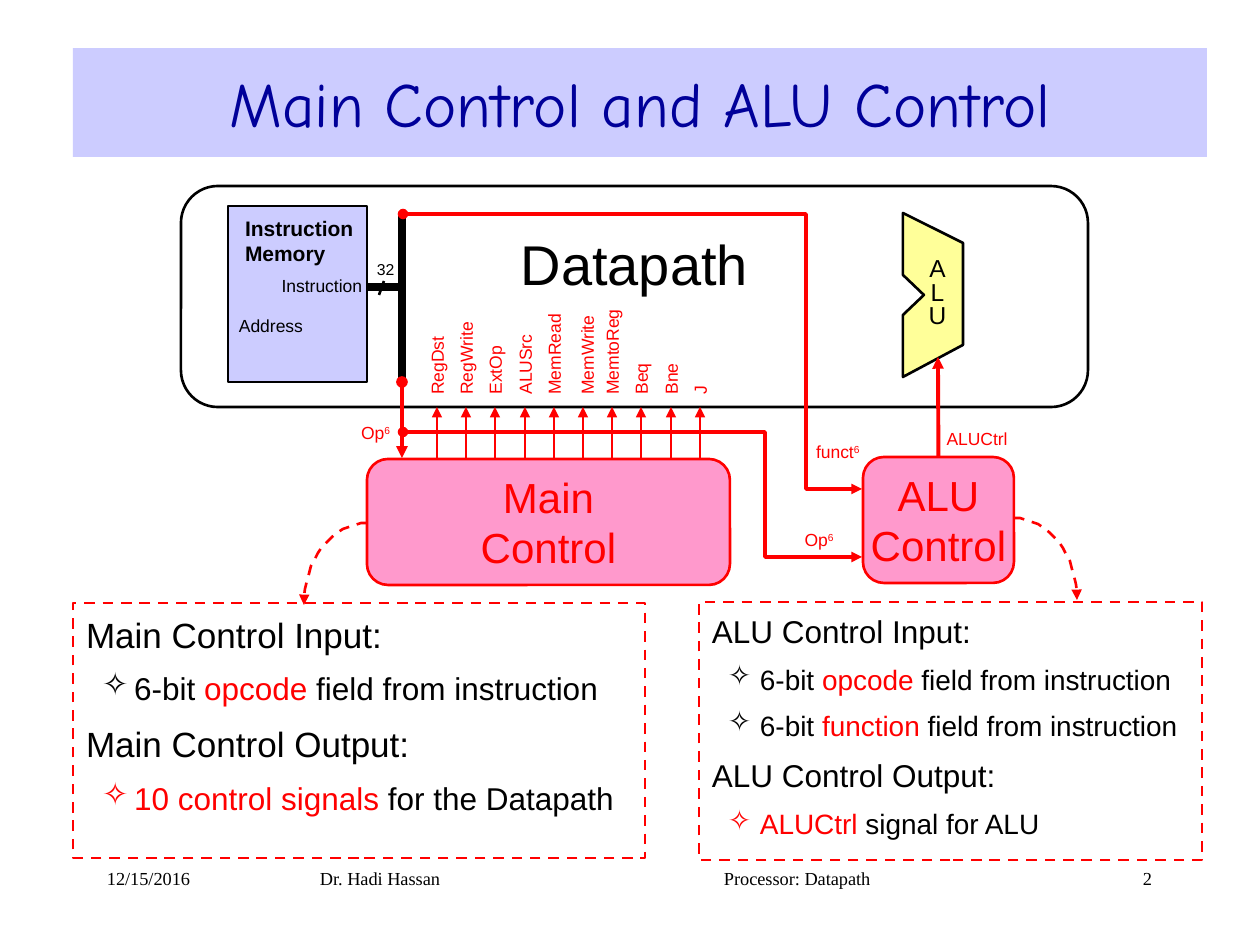
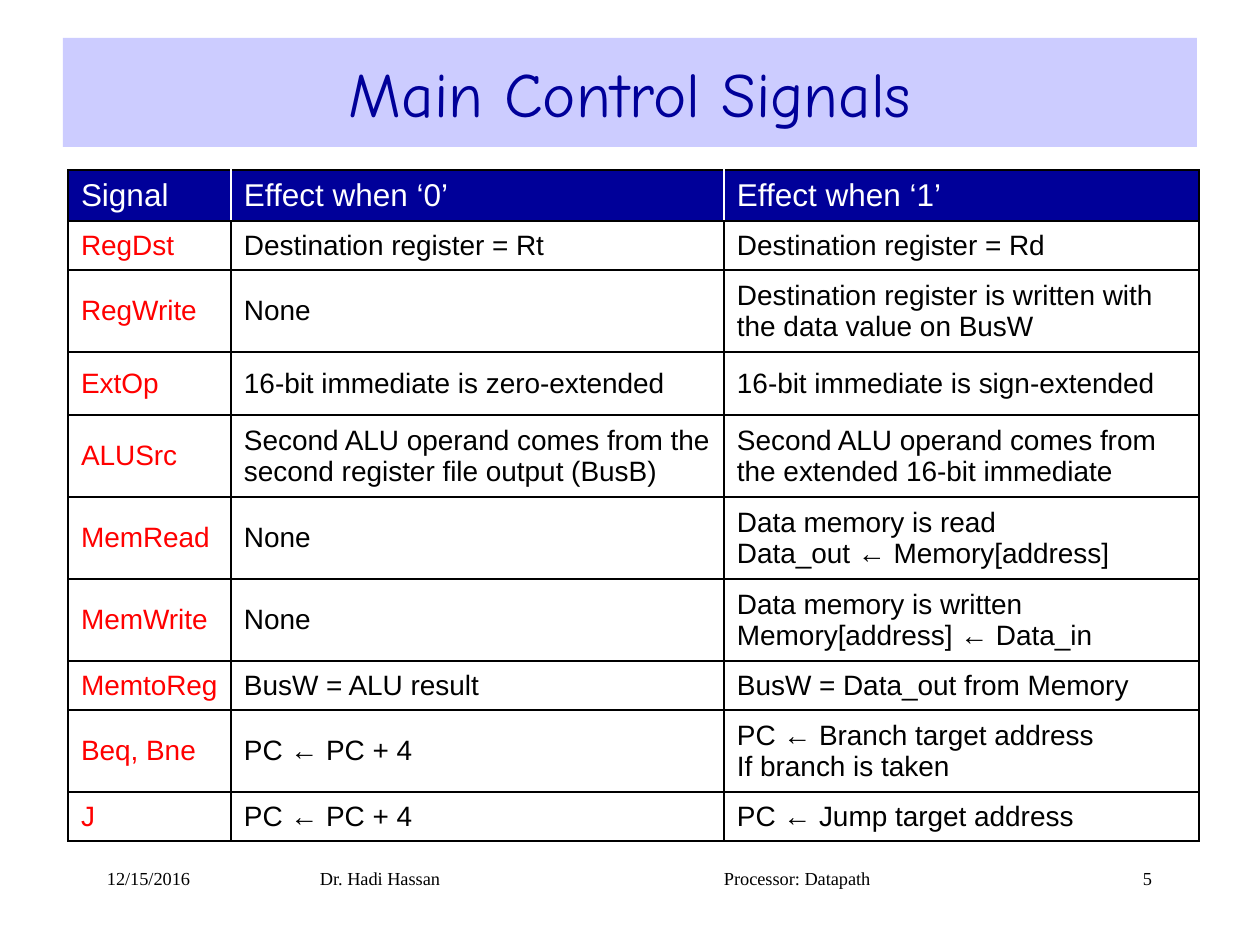
from dataclasses import dataclass
from math import cos, pi, sin

from lxml.etree import SubElement
from pptx import Presentation
from pptx.dml.color import RGBColor
from pptx.enum.dml import MSO_LINE
from pptx.enum.shapes import MSO_CONNECTOR as LINK, MSO_SHAPE as SHAPE
from pptx.enum.text import MSO_ANCHOR as ANCHOR, PP_ALIGN as ALIGN
from pptx.oxml.ns import qn
from pptx.util import Emu, Pt

EMU_PER_PX = 914400 / 126
LEFT, CENTER, RIGHT = ALIGN.LEFT, ALIGN.CENTER, ALIGN.RIGHT


@dataclass(frozen=True)
class Theme:
    black: str = "000000"
    white: str = "FFFFFF"
    red: str = "FF0000"
    navy: str = "000099"
    lavender: str = "CCCCFF"
    pink: str = "FF99CC"
    yellow: str = "FFFF99"
    body_font: str = "Arial"
    title_font: str = "Comic Neue"
    footer_font: str = "Times New Roman"
    title: float = 36
    datapath: float = 32
    block: float = 24
    table_head: float = 18
    table_body: float = 16
    unit: float = 14
    memory: float = 12
    footer: float = 10.5
    wire: float = 10
    bus: float = 9
    outline: float = 1.5


T = Theme()

SIGNALS = ["RegDst", "RegWrite", "ExtOp", "ALUSrc", "MemRead",
           "MemWrite", "MemtoReg", "Beq", "Bne", "J"]
LABEL_NUDGE = {"MemWrite": 4}

# Notes: (level, [(text, colour), ...])
MAIN_NOTES = [
    (0, [("Main Control Input:", T.black)]),
    (1, [("6-bit ", T.black), ("opcode", T.red), (" field from instruction", T.black)]),
    (0, [("Main Control Output:", T.black)]),
    (1, [("10 control signals", T.red), (" for the Datapath", T.black)]),
]
ALU_NOTES = [
    (0, [("ALU Control Input:", T.black)]),
    (1, [("6-bit ", T.black), ("opcode", T.red), (" field from instruction", T.black)]),
    (1, [("6-bit ", T.black), ("function", T.red), (" field from instruction", T.black)]),
    (0, [("ALU Control Output:", T.black)]),
    (1, [("ALUCtrl", T.red), (" signal for ALU", T.black)]),
]

# Table rows: height in px, then the three cells
SIGNAL_ROWS = [
    (51, "Signal", "Effect when ‘0’", "Effect when ‘1’"),
    (49, "RegDst", "Destination register = Rt", "Destination register = Rd"),
    (82, "RegWrite", "None", "Destination register is written with the data value on BusW"),
    (63, "ExtOp", "16-bit immediate is zero-extended", "16-bit immediate is sign-extended"),
    (82, "ALUSrc", "Second ALU operand comes from the second register file output (BusB)",
     "Second ALU operand comes from the extended 16-bit immediate"),
    (82, "MemRead", "None", "Data memory is read\nData_out ← Memory[address]"),
    (82, "MemWrite", "None", "Data memory is written\nMemory[address] ← Data_in"),
    (49, "MemtoReg", "BusW = ALU result", "BusW = Data_out from Memory"),
    (82, "Beq, Bne", "PC ← PC + 4", "PC ← Branch target address\nIf branch is taken"),
    (49, "J", "PC ← PC + 4", "PC ← Jump target address"),
]
SIGNAL_COLUMNS = [163, 493, 475]


def px(length):
    return Emu(round(length * EMU_PER_PX))


def rgb(colour):
    return RGBColor.from_string(colour)


# Text
def style_run(run, size, colour, font=T.body_font, bold=False):
    run.font.name, run.font.size, run.font.bold = font, Pt(size), bold
    run.font.color.rgb = rgb(colour)


def set_insets(holder, side, top):
    holder.margin_left = holder.margin_right = px(side)
    holder.margin_top = holder.margin_bottom = px(top)


def write(frame, text, size, colour, font=T.body_font, align=LEFT, bold=False, spacing=None):
    frame.text = text
    frame.word_wrap = True
    for paragraph in frame.paragraphs:
        paragraph.alignment = align
        paragraph.line_spacing = spacing
        for run in paragraph.runs:
            style_run(run, size, colour, font, bold)


def add_label(slide, box, text, size, colour, anchor=ANCHOR.MIDDLE, inset=0, turn=0, **style):
    label = slide.shapes.add_textbox(*map(px, box))
    frame = label.text_frame
    write(frame, text, size, colour, **style)
    set_insets(frame, inset, inset / 2)
    frame.vertical_anchor = anchor
    label.rotation = turn
    return label


def add_field_label(slide, box, field, bits="6", align=CENTER):
    paragraph = add_label(slide, box, field, T.wire, T.red, align=align).text_frame.paragraphs[0]
    width = paragraph.add_run()
    width.text = bits
    style_run(width, T.wire, T.red)
    width.font._element.set("baseline", "30000")


# Shapes and lines
def paint(shape, fill=None, line=None, weight=T.outline, dashed=False):
    shape.shadow.inherit = False
    if fill:
        shape.fill.solid()
        shape.fill.fore_color.rgb = rgb(fill)
    else:
        shape.fill.background()
    if line:
        draw_line(shape, line, weight, dashed)
    else:
        shape.line.fill.background()


def draw_line(shape, colour, weight, dashed=False, head=None, tail=None):
    shape.line.color.rgb = rgb(colour)
    shape.line.width = Pt(weight)
    if dashed:
        shape.line.dash_style = MSO_LINE.DASH
    outline = shape.element.spPr.find(qn("a:ln"))
    for tag, kind in (("a:headEnd", head), ("a:tailEnd", tail)):
        if kind:
            SubElement(outline, qn(tag), type=kind)


def add_box(slide, kind, box, **look):
    shape = slide.shapes.add_shape(kind, *map(px, box))
    paint(shape, **look)
    return shape


def add_wire(slide, start, end, colour=T.red, weight=1.0, head=None, tail="triangle"):
    wire = slide.shapes.add_connector(LINK.STRAIGHT, *map(px, start + end))
    draw_line(wire, colour, weight, head=head, tail=tail)
    SubElement(wire.element.spPr, qn("a:effectLst"))
    return wire


def add_outline(slide, points, close):
    builder = slide.shapes.build_freeform(*points[0], scale=EMU_PER_PX)
    builder.add_line_segments(points[1:], close=close)
    return builder.convert_to_shape()


def add_route(slide, points, weight=2, head="oval", dashed=False):
    route = add_outline(slide, points, close=False)
    paint(route)
    draw_line(route, T.red, weight, dashed, head, "triangle")


def add_callout_curve(slide, start, end, steps=16):
    (x, y), (end_x, end_y) = start, end
    angles = [pi / 2 * step / steps for step in range(steps + 1)]
    points = [(round(x + (end_x - x) * sin(a)), round(y + (end_y - y) * (1 - cos(a))))
              for a in angles]
    add_route(slide, points, T.outline, head=None, dashed=True)


def add_control_block(slide, box, name):
    block = add_box(slide, SHAPE.ROUNDED_RECTANGLE, box, fill=T.pink, line=T.red)
    block.text_frame.vertical_anchor = ANCHOR.MIDDLE
    write(block.text_frame, name, T.block, T.red, align=CENTER)
    set_insets(block.text_frame, 0, 6)
    return block


def add_notes_box(slide, box, notes, head_size):
    frame = add_box(slide, SHAPE.RECTANGLE, box, line=T.red, dashed=True).text_frame
    frame.word_wrap = True
    frame.vertical_anchor = ANCHOR.TOP
    set_insets(frame, 13, 10)
    for index, (level, pieces) in enumerate(notes):
        paragraph = frame.add_paragraph() if index else frame.paragraphs[0]
        size = head_size - 2 * level
        paragraph.alignment = LEFT
        paragraph.space_before = Pt(round(0.45 * size, 1) if index else 0)
        for text, colour in pieces:
            run = paragraph.add_run()
            run.text = text
            style_run(run, size, colour)
        if level:
            paragraph.level = level
            properties = paragraph._p.get_or_add_pPr()
            properties.set("marL", str(px(48)))
            properties.set("indent", str(px(-32)))
            SubElement(properties, qn("a:buChar"), char="✧")


# Parts shared by the slides
def start_slide(deck, title, band_corner, number):
    slide = deck.slides.add_slide(deck.slide_layouts[6])
    footers = [(94, 262, "12/15/2016", LEFT), (307, 200, "Dr. Hadi Hassan", LEFT),
               (711, 200, "Processor: Datapath", LEFT), (1065, 100, number, RIGHT)]
    for left, width, text, align in footers:
        add_label(slide, (left, 861, width, 40), text, T.footer, T.black, ANCHOR.TOP,
                  inset=13, font=T.footer_font, align=align)
    band = add_box(slide, SHAPE.RECTANGLE, (*band_corner, 1134, 109), fill=T.lavender)
    band.text_frame.vertical_anchor = ANCHOR.MIDDLE
    write(band.text_frame, title, T.title, T.navy, T.title_font, CENTER)
    return slide


# Control diagram
def add_datapath(slide):
    add_label(slide, (181, 207, 907, 113), "Datapath", T.datapath, T.black, align=CENTER)
    add_box(slide, SHAPE.ROUNDED_RECTANGLE, (181, 186, 907, 221), line=T.black)
    add_box(slide, SHAPE.RECTANGLE, (228, 206, 139, 176), fill=T.lavender, line=T.black)
    add_label(slide, (245, 206, 118, 69), "Instruction\nMemory", T.memory, T.black, bold=True)
    add_label(slide, (251, 269, 111, 32), "Instruction", T.wire, T.black, align=RIGHT)
    add_label(slide, (239, 307, 87, 38), "Address", T.wire, T.black)
    add_label(slide, (377, 257, 23, 25), "32", T.bus, T.black)
    for start, end, weight in [((367, 287), (402, 287), 4.5), ((384, 281), (379, 295), 1.5),
                               ((402, 212), (402, 382), 4.5)]:
        add_wire(slide, start, end, T.black, weight, tail=None)
    alu = add_outline(slide, [(903, 377), (963, 345), (963, 243), (903, 213),
                              (903, 275), (924, 295), (903, 315)], close=True)
    paint(alu, fill=T.yellow, line=T.black)
    add_label(slide, (913, 243, 49, 102), "A\nL\nU", T.unit, T.black, align=CENTER, spacing=0.8)


def add_signals(slide):
    for index, signal in enumerate(SIGNALS):
        x = round(437 + 29.2 * index)
        add_wire(slide, (x, 458), (x, 407))
        label_x = x + LABEL_NUDGE.get(signal, 0)
        add_label(slide, (label_x - 50, 333, 100, 23), signal, T.wire, T.red, turn=270)


def add_controls(slide):
    alu_control = add_control_block(slide, (863, 457, 151, 126), "ALU\nControl")
    add_callout_curve(slide, (1014, 518), (1077, 600))
    add_wire(slide, (402, 382), (402, 458), weight=2.25, head="oval")
    add_signals(slide)
    add_route(slide, [(403, 432), (765, 432), (765, 557), (862, 557)])
    add_route(slide, [(403, 214), (806, 214), (806, 489), (862, 489)])
    alu_ctrl = add_wire(slide, (938, 457), (938, 357), weight=2.25)
    alu_ctrl.begin_connect(alu_control, 0)
    add_field_label(slide, (358, 420, 35, 25), "Op")
    add_field_label(slide, (781, 527, 76, 25), "Op")
    add_field_label(slide, (816, 440, 55, 23), "funct", align=LEFT)
    add_label(slide, (942, 426, 70, 25), "ALUCtrl", T.wire, T.red, align=CENTER)
    add_control_block(slide, (367, 459, 363, 126), "Main\nControl")
    add_callout_curve(slide, (367, 523), (304, 605))


# Signal table
def set_borders(cell, **colours):
    for side in "LRTB":
        border = SubElement(cell._tc.get_or_add_tcPr(), qn(f"a:ln{side}"), w=str(Pt(1)))
        fill = SubElement(border, qn("a:solidFill"))
        SubElement(fill, qn("a:srgbClr"), val=colours.get(side, T.black))


def add_signal_table(slide):
    heights = [row[0] for row in SIGNAL_ROWS]
    area = (68, 170, sum(SIGNAL_COLUMNS), sum(heights))
    table = slide.shapes.add_table(len(heights), len(SIGNAL_COLUMNS), *map(px, area)).table
    table.first_row = table.horz_banding = False
    for column, width in zip(table.columns, SIGNAL_COLUMNS):
        column.width = px(width)
    last = len(SIGNAL_COLUMNS) - 1
    for r, (height, *texts) in enumerate(SIGNAL_ROWS):
        table.rows[r].height = px(height)
        for c, text in enumerate(texts):
            cell = table.cell(r, c)
            cell.vertical_anchor = ANCHOR.MIDDLE
            set_insets(cell, 13, 7 if r else 6)
            if r == 0:
                set_borders(cell, L=T.white if c else T.black, R=T.white if c < last else T.black)
                cell.fill.solid()
                cell.fill.fore_color.rgb = rgb(T.navy)
                write(cell.text_frame, text, T.table_head, T.white)
            else:
                set_borders(cell)
                cell.fill.background()
                write(cell.text_frame, text, T.table_body, T.black if c else T.red)


def main():
    deck = Presentation()
    deck.slide_width, deck.slide_height = px(1260), px(945)

    control = start_slide(deck, "Main Control and ALU Control", (73, 48), "2")
    add_notes_box(control, (73, 603, 572, 255), MAIN_NOTES, 20)
    add_datapath(control)
    add_notes_box(control, (699, 602, 503, 258), ALU_NOTES, 18)
    add_controls(control)

    signals = start_slide(deck, "Main Control Signals", (63, 38), "5")
    add_signal_table(signals)
    deck.save("out.pptx")


if __name__ == "__main__":
    main()
